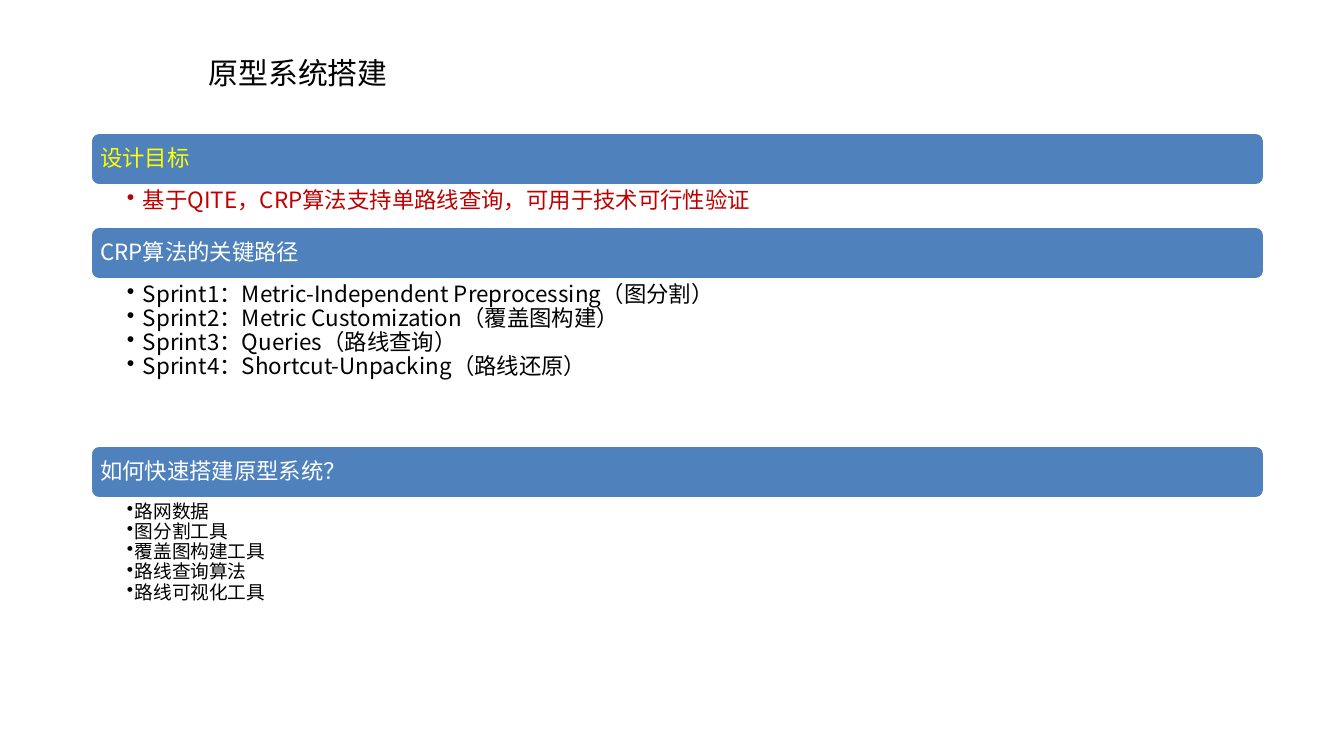
import pptx
import pptx.dml.color
import pptx.enum.shapes
import pptx.enum.text
import pptx.util
from lxml import etree
from pptx.oxml.ns import qn

PX_PER_INCH = 134.4
FONT = "Noto Sans CJK SC"
BLACK = pptx.dml.color.RGBColor(0x00, 0x00, 0x00)
WHITE = pptx.dml.color.RGBColor(0xFF, 0xFF, 0xFF)
YELLOW = pptx.dml.color.RGBColor(0xFF, 0xFF, 0x00)
RED = pptx.dml.color.RGBColor(0xC0, 0x00, 0x00)
BLUE = pptx.dml.color.RGBColor(0x4F, 0x81, 0xBD)

BAR_HEIGHT = 54
# heading, heading colour, body height, points, point colour, point size, indent
SECTIONS = [
    ("设计目标", YELLOW, 40,
     ["基于QITE，CRP算法支持单路线查询，可用于技术可行性验证"], RED, 12, 16),
    ("CRP算法的关键路径", WHITE, 165,
     ["Sprint1：Metric-Independent Preprocessing（图分割）",
      "Sprint2：Metric Customization（覆盖图构建）",
      "Sprint3：Queries（路线查询）",
      "Sprint4：Shortcut-Unpacking（路线还原）"], BLACK, 12, 16),
    ("如何快速搭建原型系统？", WHITE, 177,
     ["路网数据", "图分割工具", "覆盖图构建工具", "路线查询算法", "路线可视化工具"],
     BLACK, 10, 8),
]


def px(length):
    return pptx.util.Emu(round(length * 914400 / PX_PER_INCH))


def style_paragraph(para, size, color, spacing=0.9):
    para.line_spacing = spacing
    para.space_before = para.space_after = pptx.util.Pt(0)
    para.font.size = pptx.util.Pt(size)
    para.font.name = FONT
    para.font.color.rgb = color
    defaults = para._p.pPr.find(qn("a:defRPr"))
    etree.SubElement(defaults, qn("a:ea"), typeface=FONT)


def add_bullet(para, indent):
    """Give the paragraph a bullet with a hanging indent in px."""
    para.level = 1
    properties = para._p.pPr
    properties.set("marL", str(px(indent)))
    properties.set("indent", str(-px(indent)))
    bullet = etree.Element(qn("a:buChar"), char="•")
    properties.find(qn("a:defRPr")).addprevious(bullet)


def add_text(shapes, left, top, width, height, insets, lines, size, color,
             anchor=pptx.enum.text.MSO_ANCHOR.MIDDLE, indent=0, spacing=0.9):
    """Add a text box; insets are left, top, right, bottom in px."""
    box = shapes.add_textbox(px(left), px(top), px(width), px(height))
    frame = box.text_frame
    frame.word_wrap = True
    frame.vertical_anchor = anchor
    (frame.margin_left, frame.margin_top,
     frame.margin_right, frame.margin_bottom) = map(px, insets)
    frame.text = "\n".join(lines)
    for para in frame.paragraphs:
        style_paragraph(para, size, color, spacing)
        if indent:
            add_bullet(para, indent)


def add_heading_bar(shapes, left, top, width, heading, color):
    bar = shapes.add_shape(pptx.enum.shapes.MSO_SHAPE.ROUNDED_RECTANGLE,
                           px(left), px(top), px(width), px(BAR_HEIGHT))
    bar.shadow.inherit = False
    bar.fill.solid()
    bar.fill.fore_color.rgb = BLUE
    bar.line.color.rgb = WHITE
    bar.line.width = pptx.util.Pt(2)
    add_text(shapes, left + 3, top + 3, width - 6, BAR_HEIGHT - 6,
             (7, 7, 7, 7), [heading], 12, color)


def add_sections(shapes, left, top, width):
    """Stack every heading bar and its bullet list from top downwards."""
    for heading, heading_color, height, points, color, size, indent in SECTIONS:
        add_heading_bar(shapes, left, top, width, heading, heading_color)
        top += BAR_HEIGHT
        add_text(shapes, left, top, width, height, (37, 3, 12, 3), points, size,
                 color, pptx.enum.text.MSO_ANCHOR.TOP, indent)
        top += height


def add_title(shapes, left, top, width, height):
    add_text(shapes, left, top, width, height, (13, 7, 13, 7),
             ["原型系统搭建"], 16, BLACK, spacing=1.0)


def main():
    deck = pptx.Presentation()
    deck.slide_width, deck.slide_height = px(1344), px(756)
    page = deck.slides.add_slide(deck.slide_layouts[6])
    add_title(page.shapes, 196, 31, 1079, 83)
    add_sections(page.shapes.add_group_shape().shapes, 90, 132, 1175)
    deck.save("out.pptx")


if __name__ == "__main__":
    main()
